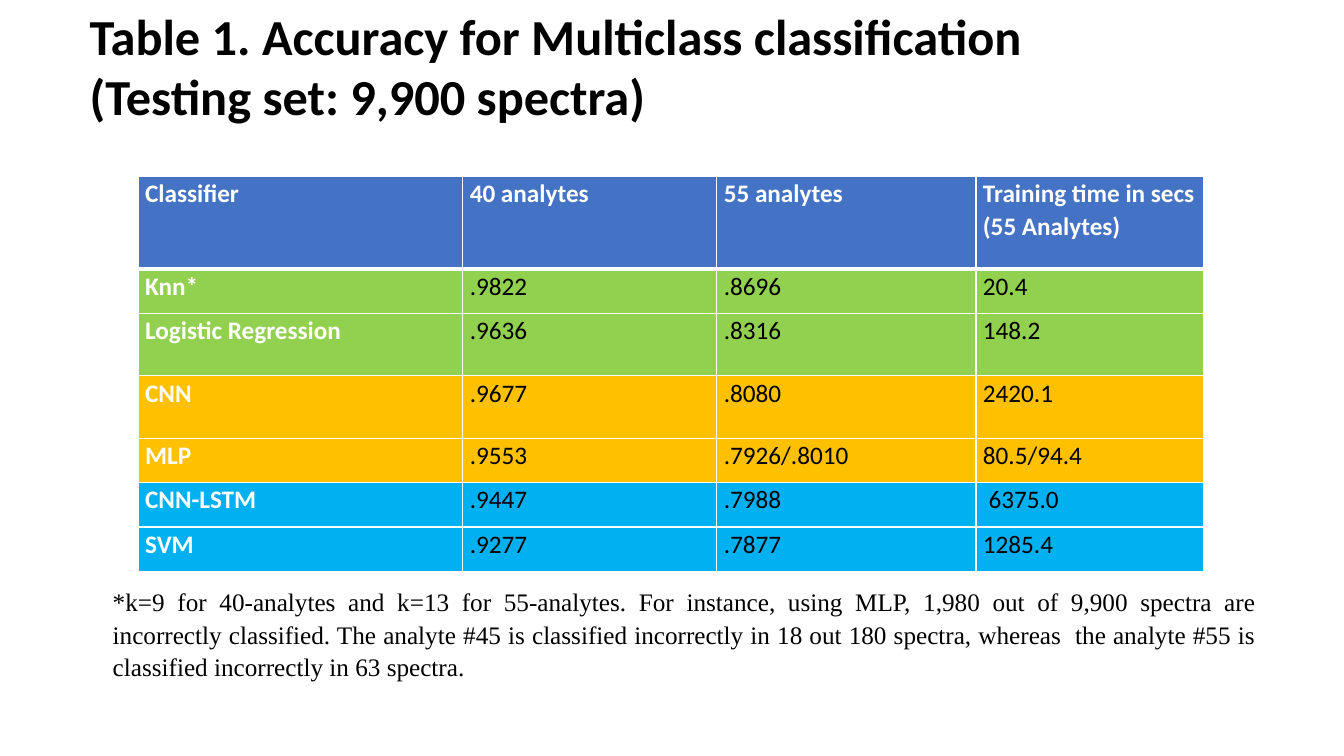
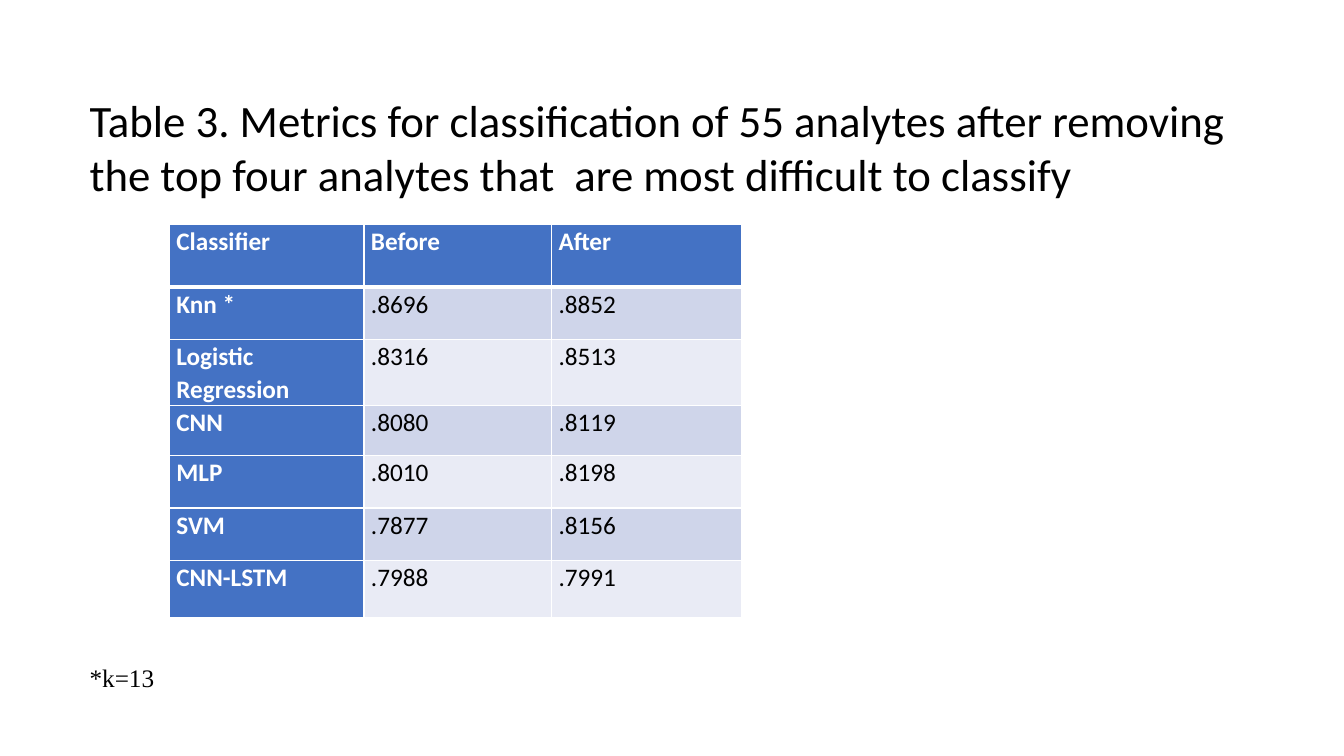
from lxml.etree import SubElement
from pptx import Presentation
from pptx.dml.color import RGBColor
from pptx.enum.text import PP_ALIGN
from pptx.oxml.ns import qn
from pptx.util import Inches, Pt

COLORS = {
    "text": "000000",
    "white": "FFFFFF",
    "header": "4472C4",
    "green": "92D050",
    "amber": "FFC000",
    "cyan": "00B0F0",
    "band_dark": "CFD5EA",
    "band_light": "E9EBF5",
}
TITLE_FONT = "Calibri"
NOTE_FONT = "Times New Roman"
LINE_SPACING = 1.07

SLIDES = [
    {
        "title": "Table 1. Accuracy for Multiclass classification (Testing set: 9,900 spectra)",
        "title_box": (0.79, 0, 10.92, 1.62),
        "title_size": 36,
        "title_bold": True,
        "table_at": (1.37, 1.75),
        "columns": [3.22, 2.52, 2.57, 2.26],
        "heights": [0.92, 0.44, 0.62, 0.62, 0.44, 0.44, 0.44],
        "rows": [
            ["Classifier", "40 analytes", "55 analytes", "Training time in secs\n(55 Analytes)"],
            ["Knn*", ".9822", ".8696", "20.4"],
            ["Logistic Regression", ".9636", ".8316", "148.2"],
            ["CNN", ".9677", ".8080", "2420.1"],
            ["MLP", ".9553", ".7926/.8010", "80.5/94.4"],
            ["CNN-LSTM", ".9447", ".7988", " 6375.0"],
            ["SVM", ".9277", ".7877", "1285.4"],
        ],
        "row_fills": ["green", "green", "amber", "amber", "cyan", "cyan"],
        "label_fill": None,
        "note": "*k=9 for 40-analytes and k=13 for 55-analytes. For instance, using MLP, "
                "1,980 out of 9,900 spectra are incorrectly classified. The analyte #45 is "
                "classified incorrectly in 18 out 180 spectra, whereas  the analyte #55 is "
                "classified incorrectly in 63 spectra.",
        "note_box": (1.02, 5.75, 11.54, 1.38),
    },
    {
        "title": "Table 3. Metrics for classification of 55 analytes after removing "
                 "the top four analytes that  are most difficult to classify",
        "title_box": (0.79, 0.87, 11.65, 1.18),
        "title_size": 32,
        "title_bold": False,
        "table_at": (1.68, 2.23),
        "columns": [1.93, 1.86, 1.89],
        "heights": [0.62, 0.52, 0.65, 0.5, 0.52, 0.52, 0.57],
        "rows": [
            ["Classifier", "Before", "After"],
            ["Knn *", ".8696", ".8852"],
            ["Logistic Regression", ".8316", ".8513"],
            ["CNN", ".8080", ".8119"],
            ["MLP", ".8010", ".8198"],
            ["SVM", ".7877", ".8156"],
            ["CNN-LSTM", ".7988", ".7991"],
        ],
        "row_fills": ["band_dark", "band_light"] * 3,
        "label_fill": "header",
        "note": "*k=13",
        "note_box": (0.79, 6.5, 8.98, 0.73),
    },
]


def style_paragraph(paragraph, font, size, color, bold=False):
    paragraph.font.name = font
    paragraph.font.size = Pt(size)
    paragraph.font.bold = bold
    paragraph.font.color.rgb = RGBColor.from_string(COLORS[color])


def add_text(slide, box, text, font, size, bold=False):
    frame = slide.shapes.add_textbox(*map(Inches, box)).text_frame
    frame.word_wrap = True
    frame.text = text
    style_paragraph(frame.paragraphs[0], font, size, "text", bold)
    return frame.paragraphs[0]


prs = Presentation()
prs.slide_width = Inches(13.33)
prs.slide_height = Inches(7.5)

for content in SLIDES:
    slide = prs.slides.add_slide(prs.slide_layouts[6])
    rows, columns, heights = content["rows"], content["columns"], content["heights"]
    extent = (*content["table_at"], sum(columns), sum(heights))
    results = slide.shapes.add_table(len(rows), len(columns), *map(Inches, extent)).table
    results.first_col = True
    for column, width in zip(results.columns, columns):
        column.width = Inches(width)
    for row, height in zip(results.rows, heights):
        row.height = Inches(height)

    for r, values in enumerate(rows):
        for c, value in enumerate(values):
            cell = results.cell(r, c)
            cell.text = value
            cell.margin_left = cell.margin_right = Inches(0.07)
            cell.margin_top = cell.margin_bottom = 0
            is_label = r == 0 or c == 0
            for paragraph in cell.text_frame.paragraphs:
                paragraph.alignment = PP_ALIGN.JUSTIFY
                paragraph.line_spacing = LINE_SPACING
                style_paragraph(paragraph, TITLE_FONT, 18, "white" if is_label else "text", is_label)

            borders = {"lnL": 1, "lnR": 1, "lnT": 3 if r == 1 else 1, "lnB": 3 if r == 0 else 1}
            for side, weight in borders.items():
                line = SubElement(cell._tc.get_or_add_tcPr(), qn(f"a:{side}"), w=str(Pt(weight)))
                SubElement(SubElement(line, qn("a:solidFill")), qn("a:srgbClr"), val=COLORS["white"])

            if r == 0:
                fill = "header"
            elif c == 0 and content["label_fill"]:
                fill = content["label_fill"]
            else:
                fill = content["row_fills"][r - 1]
            cell.fill.solid()
            cell.fill.fore_color.rgb = RGBColor.from_string(COLORS[fill])

    add_text(slide, content["title_box"], content["title"], TITLE_FONT,
             content["title_size"], content["title_bold"])
    note = add_text(slide, content["note_box"], content["note"], NOTE_FONT, 18)
    note.alignment = PP_ALIGN.JUSTIFY
    note.line_spacing = LINE_SPACING

prs.save("out.pptx")
